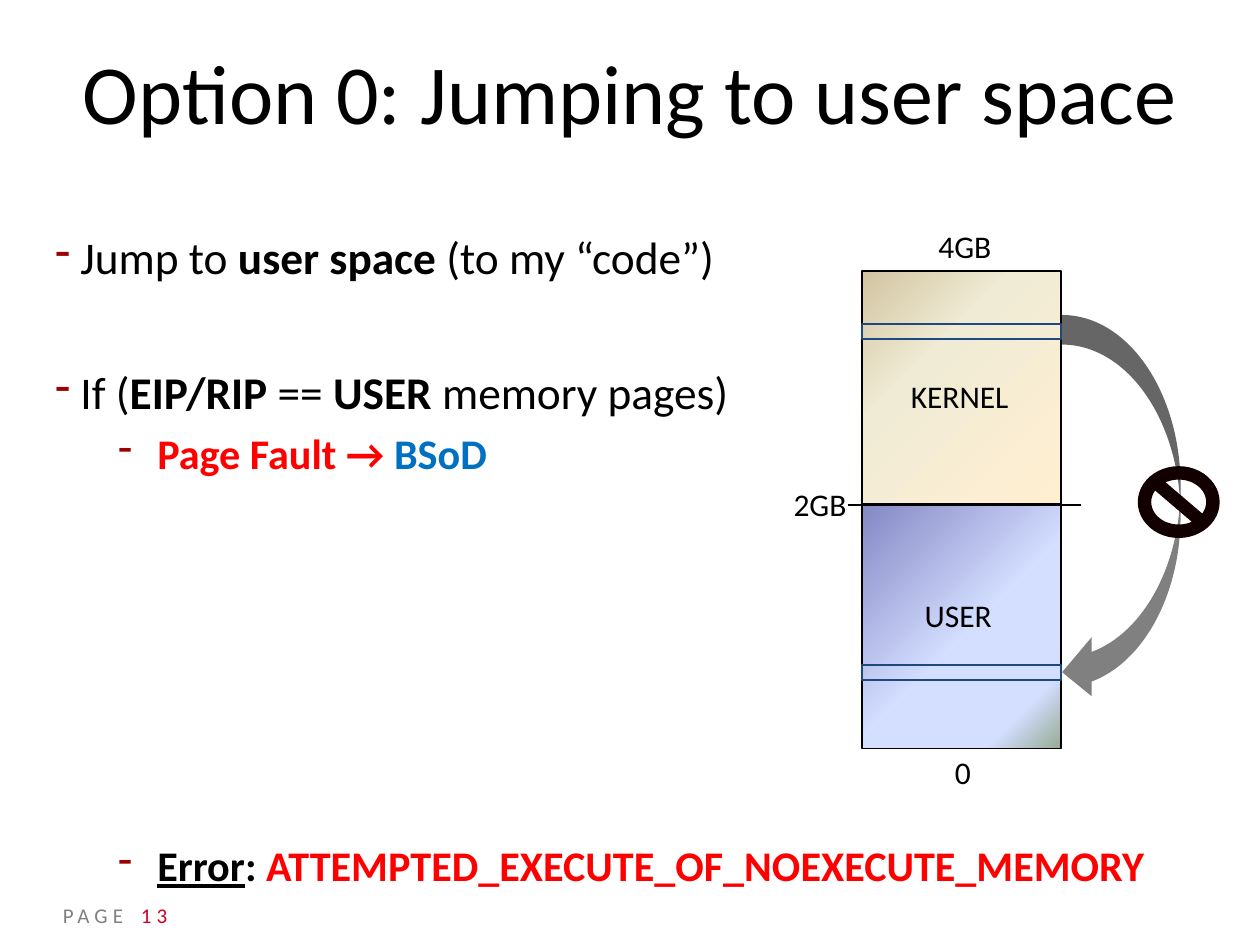
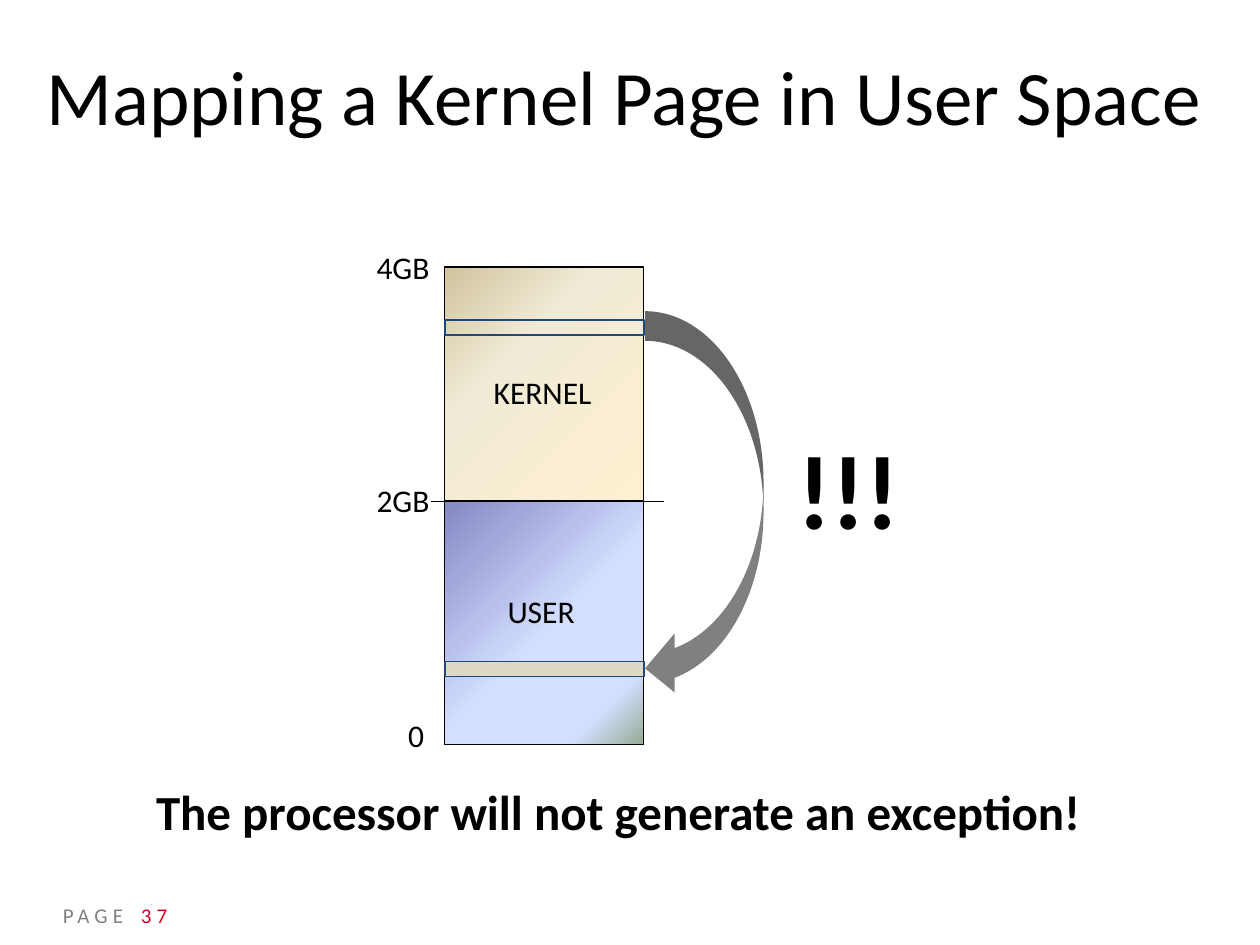
import pptx
import pptx.dml.color
import pptx.enum.dml
import pptx.enum.shapes
import pptx.enum.text
import pptx.oxml
import pptx.oxml.ns
import pptx.util
from lxml import etree

Inches, Pt = pptx.util.Inches, pptx.util.Pt
RGBColor = pptx.dml.color.RGBColor
SHAPE = pptx.enum.shapes.MSO_SHAPE
ANCHOR = pptx.enum.text.MSO_ANCHOR
ALIGN = pptx.enum.text.PP_ALIGN
qn = pptx.oxml.ns.qn

FONT = "Calibri"
BLACK = RGBColor(0x00, 0x00, 0x00)
GRAY = RGBColor(0x80, 0x80, 0x80)
PAGE_RED = RGBColor(0xD2, 0x00, 0x25)
BULLET_RED = RGBColor(0x9C, 0x00, 0x00)
ALERT_RED = RGBColor(0xFF, 0x00, 0x00)
BLUE = RGBColor(0x00, 0x70, 0xC0)
NAVY = RGBColor(0x1F, 0x49, 0x7D)
SIGN = RGBColor(0x12, 0x00, 0x00)
SAND = RGBColor(0xDD, 0xD9, 0xC3)
KERNEL_STOPS = [(0, RGBColor(0xFF, 0xEF, 0xD1)), (65, RGBColor(0xF0, 0xEB, 0xD5)),
                (100, RGBColor(0xD1, 0xC3, 0x9F))]
USER_STOPS = [(0, RGBColor(0x84, 0x88, 0xC4)), (53, RGBColor(0xD4, 0xDE, 0xFF)),
              (83, RGBColor(0xD4, 0xDE, 0xFF)), (100, RGBColor(0x96, 0xAB, 0x94))]


def add_run(p, text, size, color=BLACK, bold=False, underline=False, spacing=0):
    r = p.add_run()
    r.text = text
    r.font.name, r.font.size = FONT, Pt(size)
    r.font.bold, r.font.underline = bold, underline
    r.font.color.rgb = color
    if spacing:
        r._r.get_or_add_rPr().set("spc", str(spacing * 100))


def add_frame(s, x, y, w, h, anchor=ANCHOR.TOP, wrap=True):
    tf = s.shapes.add_textbox(Inches(x), Inches(y), Inches(w), Inches(h)).text_frame
    tf.word_wrap = wrap
    tf.vertical_anchor = anchor
    return tf


def add_label(s, text, x, y, w, h=0.4, size=18, bold=False):
    tf = add_frame(s, x, y, w, h, wrap=False)
    add_run(tf.paragraphs[0], text, size, bold=bold)


def add_shape(s, kind, x, y, w, h, fill=None, line=None, weight=1):
    sp = s.shapes.add_shape(kind, Inches(x), Inches(y), Inches(w), Inches(h))
    sp.shadow.inherit = False
    if fill is None:
        sp.fill.background()
    else:
        sp.fill.solid()
        sp.fill.fore_color.rgb = fill
    if line is None:
        sp.line.fill.background()
    else:
        sp.line.color.rgb = line
        sp.line.width = Pt(weight)
    return sp


def set_gradient(sp, stops, angle=None):
    sp.fill.gradient()
    grad = sp._element.spPr.find(qn("a:gradFill"))
    for child in list(grad):
        grad.remove(child)
    gs_list = etree.SubElement(grad, qn("a:gsLst"))
    for pos, color in stops:
        gs = etree.SubElement(gs_list, qn("a:gs"), pos=str(pos * 1000))
        etree.SubElement(gs, qn("a:srgbClr"), val=str(color))
    if angle is None:
        shade = etree.SubElement(grad, qn("a:path"), path="circle")
        etree.SubElement(shade, qn("a:fillToRect"), l="100000", t="100000")
    else:
        etree.SubElement(grad, qn("a:lin"), ang=str(angle * 60000), scaled="0")


def add_bullet(p, margin, hanging):
    pPr = p._p.get_or_add_pPr()
    pPr.set("marL", str(Inches(margin)))
    pPr.set("indent", str(-Inches(hanging)))
    color = etree.SubElement(pPr, qn("a:buClr"))
    etree.SubElement(color, qn("a:srgbClr"), val=str(BULLET_RED))
    etree.SubElement(pPr, qn("a:buChar"), char="-")


def add_title(s, text, x, y, w, h, size):
    tf = add_frame(s, x, y, w, h, ANCHOR.BOTTOM)
    tf.margin_bottom = Inches(0.02)
    tf.paragraphs[0].alignment = ALIGN.CENTER
    add_run(tf.paragraphs[0], text, size)


def add_footer(s, number):
    tf = add_frame(s, 0.4, 7.18, 0.9, 0.17, ANCHOR.MIDDLE)
    add_run(tf.paragraphs[0], "PAGE", 12, GRAY, spacing=3)
    tf = add_frame(s, 1.02, 7.12, 2.33, 0.29, ANCHOR.BOTTOM)
    add_run(tf.paragraphs[0], str(number), 12, PAGE_RED, spacing=3)


def add_memory_map(s, x, y, top_label, zero_label, user_page=None):
    w, kernel_h, user_h, split = 1.58, 1.85, 1.93, 1.86
    add_shape(s, SHAPE.CURVED_LEFT_ARROW, x + w + 0.01, y + 0.35, 0.94, 3.07, GRAY)
    kernel = add_shape(s, SHAPE.RECTANGLE, x, y, w, kernel_h, line=BLACK, weight=0.75)
    set_gradient(kernel, KERNEL_STOPS)
    cx = s.shapes.add_connector(pptx.enum.shapes.MSO_CONNECTOR.STRAIGHT,
                                Inches(x - 0.11), Inches(y + split),
                                Inches(x + 1.74), Inches(y + split))
    cx.line.color.rgb = BLACK
    cx.line.width = Pt(1)
    etree.SubElement(cx._element.spPr, qn("a:effectLst"))
    user = add_shape(s, SHAPE.RECTANGLE, x, y + split, w, user_h, line=BLACK, weight=0.75)
    set_gradient(user, USER_STOPS, 45)
    for page_y, fill in ((0.42, None), (3.13, user_page)):
        add_shape(s, SHAPE.RECTANGLE, x, y + page_y, w, 0.12, fill, NAVY)
    for text, dx, dy, label_w in (("KERNEL", 0.29, 0.79, 0.99), ("USER", 0.4, 2.53, 0.74),
                                  ("2GB", -0.64, 1.65, 0.63), ("4GB", *top_label, 0.63),
                                  ("0", *zero_label, 0.33)):
        add_label(s, text, x + dx, y + dy, label_w)


def add_points(s, x, y, w, h):
    points = [
        (0, 0, [("Jump to ", {}), ("user space", {"bold": True}), (" (to my “code”)", {})]),
        (0, 46, [("If (", {}), ("EIP/RIP", {"bold": True}), (" == ", {}),
                 ("USER ", {"bold": True}), ("memory pages)", {})]),
        (1, 5, [("Page Fault → ", {"bold": True, "color": ALERT_RED}),
                ("BSoD", {"bold": True, "color": BLUE})]),
        (1, 206.5, [("Error", {"bold": True, "underline": True}), (": ", {"bold": True}),
                    ("ATTEMPTED_EXECUTE_OF_NOEXECUTE_MEMORY",
                     {"bold": True, "color": ALERT_RED})]),
    ]
    levels = [(25.9, 0.2, 0.2), (24.1, 0.81, 0.31)]
    tf = add_frame(s, x, y, w, h)
    tf.margin_top = Inches(0.07)
    for i, (level, before, runs) in enumerate(points):
        size, margin, hanging = levels[level]
        p = tf.add_paragraph() if i else tf.paragraphs[0]
        p.level = level
        p.space_before = Pt(before)
        add_bullet(p, margin, hanging)
        for text, style in runs:
            add_run(p, text, size, **style)


def build_jump_slide(s):
    add_title(s, "Option 0: Jumping to user space", 0.5, 0.45, 9, 0.69, 48)
    add_points(s, 0.34, 1.75, 9, 5.37)
    add_footer(s, 13)
    add_memory_map(s, 6.84, 2.15, (0.51, -0.4), (0.64, 3.78))
    add_shape(s, SHAPE.NO_SYMBOL, 9.03, 3.7, 0.65, 0.57, SIGN)


def build_mapping_slide(s):
    add_title(s, "Mapping a Kernel Page in User Space", 0.07, 0.29, 9.77, 0.85, 44)
    add_footer(s, 37)
    add_memory_map(s, 3.53, 2.12, (-0.64, -0.2), (-0.39, 3.51), SAND)
    add_label(s, "!!!", 6.23, 3.32, 1.02, 1.11, 60, True)
    tf = add_frame(s, 1.14, 6.15, 7.96, 0.57)
    add_run(tf.paragraphs[0], "The processor will not generate an exception!", 28, bold=True)


def main():
    prs = pptx.Presentation()
    prs.slide_width, prs.slide_height = Inches(10), Inches(7.5)
    for build in (build_jump_slide, build_mapping_slide):
        build(prs.slides.add_slide(prs.slide_layouts[6]))
    prs.save("out.pptx")


if __name__ == "__main__":
    main()
